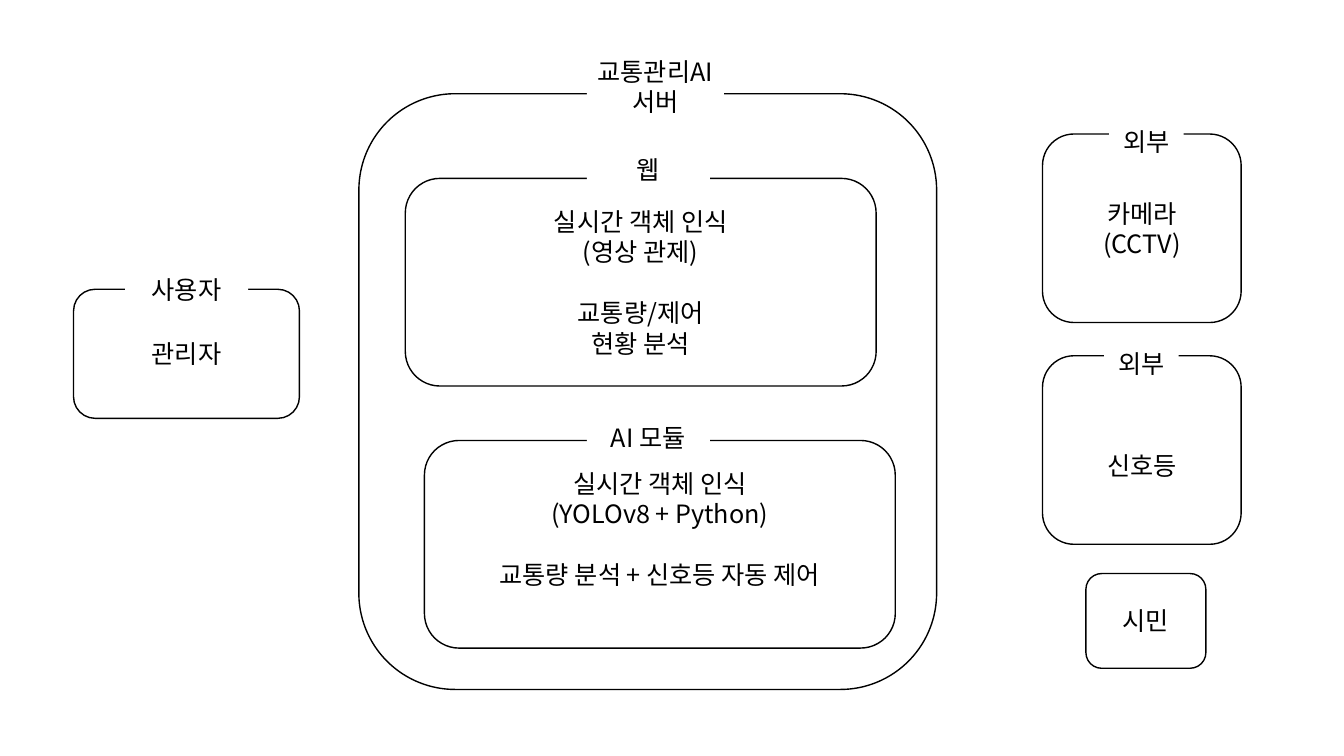
from dataclasses import dataclass

from lxml.etree import SubElement
from pptx import Presentation
from pptx.dml.color import RGBColor
from pptx.enum.shapes import MSO_SHAPE
from pptx.enum.text import MSO_ANCHOR, PP_ALIGN
from pptx.oxml.ns import qn
from pptx.shapes.autoshape import Shape
from pptx.slide import Slide
from pptx.text.text import TextFrame
from pptx.util import Inches, Pt

FONT = "Noto Sans CJK KR"
BLACK, WHITE = "000000", "FFFFFF"
LINE_GAP = Pt(22)
FRAME_FORMAT = {"word_wrap": True, "vertical_anchor": MSO_ANCHOR.MIDDLE}
FONT_FORMAT = {"name": FONT, "size": Pt(18)}

Box = tuple[float, float, float, float]


@dataclass(frozen=True)
class Label:
    text: str
    box: Box


@dataclass(frozen=True)
class Panel:
    """A rounded frame; blocks of lines are set one line apart."""
    box: Box
    blocks: tuple[tuple[str, ...], ...] = ()
    label: Label | None = None
    top: float = 0.05
    bottom: float = 0.05


PANELS = [
    Panel((3.56, 0.93, 5.73, 5.91),
          label=Label("교통관리AI서버", (5.82, 0.58, 1.36, 0.55))),
    Panel((4.02, 1.77, 4.67, 2.06),
          (("실시간 객체 인식", "(영상 관제)"), ("교통량/제어", "현황 분석")),
          Label("웹", (5.82, 1.51, 1.22, 0.35))),
    Panel((4.21, 4.37, 4.67, 2.06),
          (("실시간 객체 인식", "(YOLOv8 + Python)"),
           ("교통량 분석 + 신호등 자동 제어",)),
          Label("AI 모듈", (5.82, 4.16, 1.22, 0.35)), bottom=0.35),
    Panel((0.73, 2.87, 2.24, 1.28), (("관리자",),),
          Label("사용자", (1.24, 2.7, 1.22, 0.35))),
    Panel((10.34, 1.33, 1.97, 1.87), (("카메라", "(CCTV)"),),
          Label("외부", (11, 1.13, 0.74, 0.55))),
    Panel((10.34, 3.53, 1.97, 1.87), (("신호등",),),
          Label("외부", (10.95, 3.33, 0.74, 0.55)), top=0.35),
    Panel((10.77, 5.69, 1.19, 0.94), (("시민",),)),
]


def rgb(color: str) -> RGBColor:
    return RGBColor.from_string(color)


def set_format(target: object, values: dict) -> None:
    for name, value in values.items():
        setattr(target, name, value)


def add_white_shape(s: Slide, kind: MSO_SHAPE, box: Box) -> Shape:
    sp = s.shapes.add_shape(kind, *map(Inches, box))
    sp.shadow.inherit = False
    sp.fill.solid()
    sp.fill.fore_color.rgb = rgb(WHITE)
    return sp


def write_blocks(tf: TextFrame, blocks: tuple[tuple[str, ...], ...]) -> None:
    set_format(tf, FRAME_FORMAT)
    lines = [(text, b > 0 and i == 0)
             for b, block in enumerate(blocks) for i, text in enumerate(block)]
    for n, (text, starts_block) in enumerate(lines):
        p = tf.add_paragraph() if n else tf.paragraphs[0]
        p.alignment = PP_ALIGN.CENTER
        if starts_block:
            p.space_before = LINE_GAP
        r = p.add_run()
        r.text = text
        set_format(r.font, FONT_FORMAT)
        r.font.color.rgb = rgb(BLACK)
        SubElement(r.font._element, qn("a:ea"), typeface=FONT)


def add_label(s: Slide, label: Label) -> None:
    sp = add_white_shape(s, MSO_SHAPE.RECTANGLE, label.box)
    sp.line.fill.background()
    write_blocks(sp.text_frame, ((label.text,),))


def add_panel(s: Slide, panel: Panel) -> None:
    sp = add_white_shape(s, MSO_SHAPE.ROUNDED_RECTANGLE, panel.box)
    sp.line.color.rgb = rgb(BLACK)
    sp.line.width = Pt(1)
    set_format(sp.text_frame, {"margin_top": Inches(panel.top),
                               "margin_bottom": Inches(panel.bottom)})
    write_blocks(sp.text_frame, panel.blocks)
    if panel.label:
        add_label(s, panel.label)


def main() -> None:
    prs = Presentation()
    prs.slide_width, prs.slide_height = Inches(13.33), Inches(7.5)
    s = prs.slides.add_slide(prs.slide_layouts[6])
    for panel in PANELS:
        add_panel(s, panel)
    prs.save("out.pptx")


if __name__ == "__main__":
    main()
